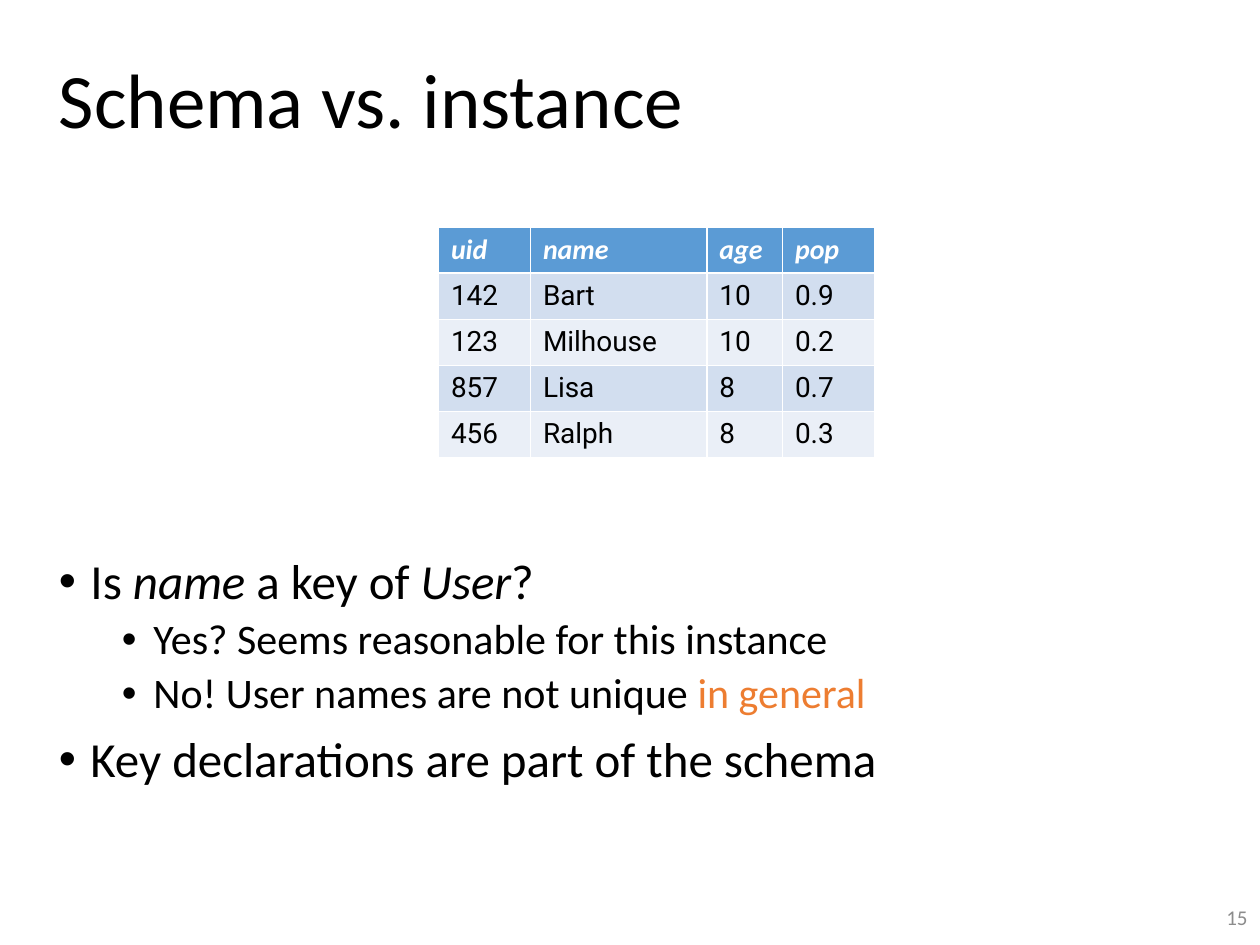
from lxml.etree import SubElement as Sub
from pptx import Presentation
from pptx.dml.color import RGBColor as RGB
from pptx.enum.text import MSO_ANCHOR as Anchor, PP_ALIGN as Align
from pptx.oxml.ns import qn
from pptx.util import Inches, Pt

BLACK = RGB(0x00, 0x00, 0x00)
WHITE = RGB(0xFF, 0xFF, 0xFF)
GREY = RGB(0x8C, 0x8C, 0x8C)
ORANGE = RGB(0xED, 0x7D, 0x31)
BLUE = RGB(0x5B, 0x9B, 0xD5)
BANDS = [RGB(0xEA, 0xEF, 0xF7), RGB(0xD2, 0xDE, 0xEF)]

deck = Presentation()
deck.slide_width, deck.slide_height = Inches(10), Inches(7.5)
slide = deck.slides.add_slide(deck.slide_layouts[6])
LEFT = 0.37


def write(para, text, size=16, font="Calibri", color=BLACK, bold=False, italic=False):
    run = para.add_run()
    run.text = text
    face = run.font
    face.size, face.name, face.bold, face.italic = Pt(size), font, bold, italic
    face.color.rgb = color


def frame(x, y, w, h, anchor=Anchor.MIDDLE):
    box = slide.shapes.add_textbox(*map(Inches, (x, y, w, h))).text_frame
    box.word_wrap = True
    box.vertical_anchor = anchor
    return box


# Title
title = frame(LEFT, 0.18, 10 - LEFT, 1.29).paragraphs[0]
title.line_spacing = 0.9
write(title, "Schema vs. instance", size=44)

# Table of users
rows = [
    ("uid", "name", "age", "pop"),
    ("142", "Bart", "10", "0.9"),
    ("123", "Milhouse", "10", "0.2"),
    ("857", "Lisa", "8", "0.7"),
    ("456", "Ralph", "8", "0.3"),
]
widths = [0.73, 1.4, 0.6, 0.73]
high = 0.36
grid = slide.shapes.add_table(
    len(rows), len(widths), Inches(3.48), Inches(1.8),
    Inches(sum(widths)), Inches(high * len(rows))).table
for col, width in zip(grid.columns, widths):
    col.width = Inches(width)
for r, row in enumerate(rows):
    grid.rows[r].height = Inches(high)
    for c, text in enumerate(row):
        cell = grid.cell(r, c)
        cell.fill.solid()
        cell.fill.fore_color.rgb = BANDS[r % 2] if r else BLUE
        look = dict(font="Roboto") if r else dict(color=WHITE, bold=True, italic=True)
        write(cell.text_frame.paragraphs[0], text, **look)

# Bullets: level, then runs with their own format
slant = dict(italic=True)
points = [
    (0, [("Is ", {}), ("name", slant), (" a key of ", {}), ("User", slant), ("?", {})]),
    (1, [("Yes? Seems reasonable for this instance", {})]),
    (1, [("No! User names are not unique ", {}), ("in general", dict(color=ORANGE))]),
    (0, [("Key declarations are part of the schema", {})]),
]
body = frame(LEFT, 4.37, 8.94, 2.98, Anchor.TOP)
for n, (level, runs) in enumerate(points):
    para = body.add_paragraph() if n else body.paragraphs[0]
    para.level = level
    para.line_spacing = 0.9
    para.space_before = Pt(5 if level else 10)
    props = para._p.get_or_add_pPr()
    props.set("marL", str(Inches(0.25 + 0.5 * level)))
    props.set("indent", str(Inches(-0.25)))
    Sub(props, qn("a:buFont"), typeface="Arial")
    Sub(props, qn("a:buChar"), char="•")
    for text, look in runs:
        write(para, text, size=24 if level else 28, **look)

# Page number
page = frame(7.75, 7.08, 2.25, 0.4).paragraphs[0]
page.alignment = Align.RIGHT
write(page, "15", size=12, color=GREY)

deck.save("out.pptx")
